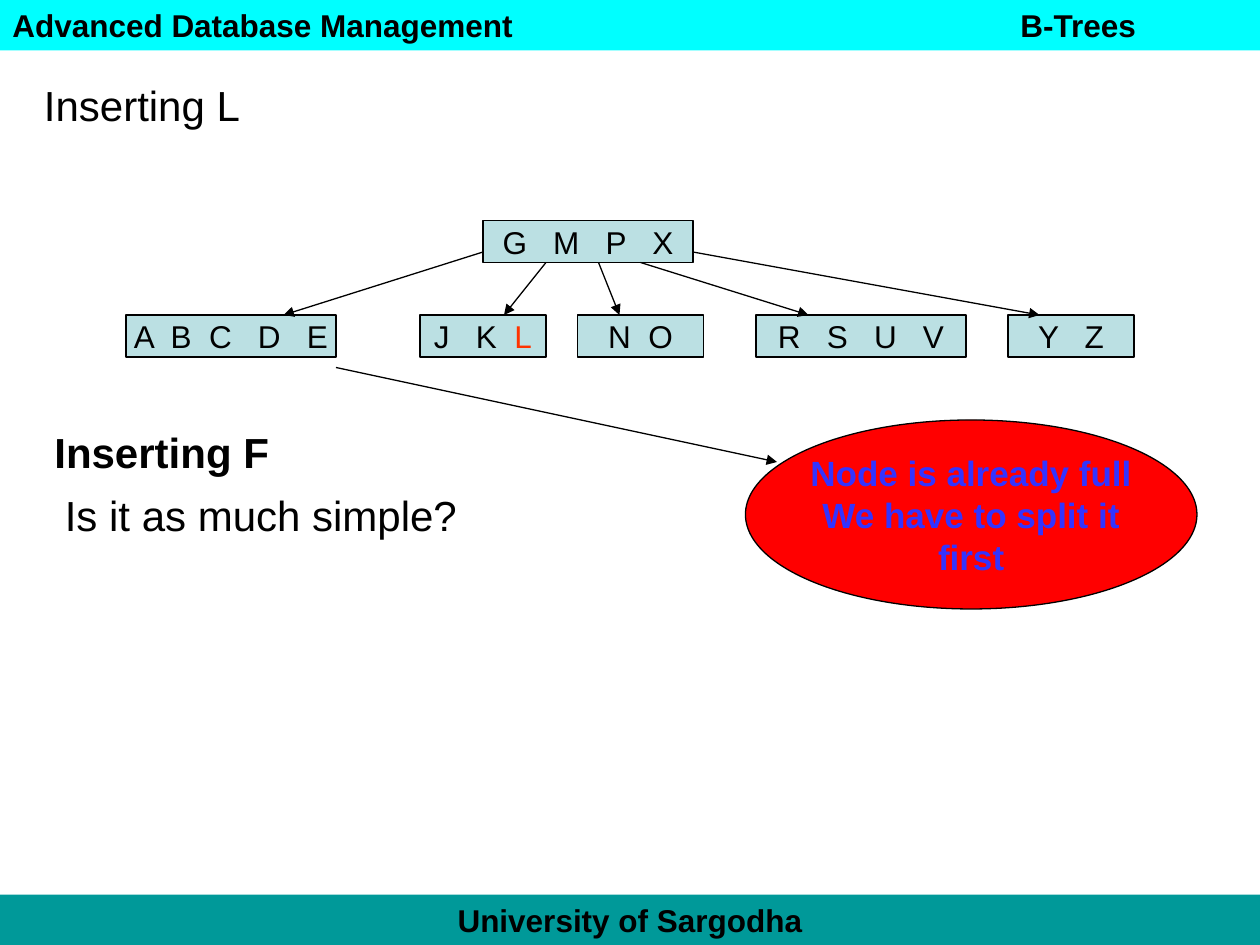
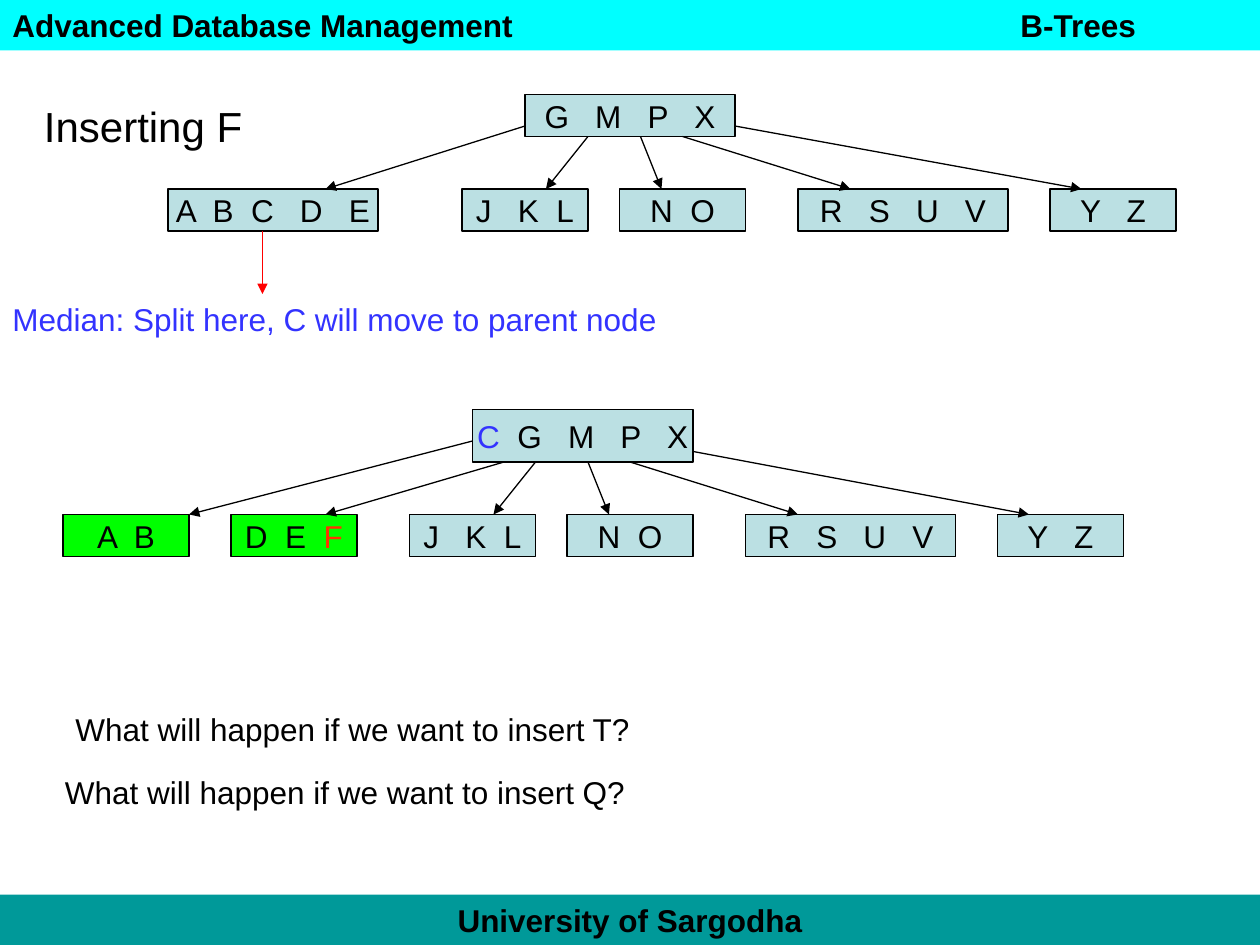
from lxml import etree
from pptx import Presentation
from pptx import util as u
from pptx.dml.color import RGBColor
from pptx.enum import shapes, text
from pptx.oxml import ns

COLUMNS, ROWS = 120, 90
WIDTH, HEIGHT = u.Inches(10), u.Inches(7.5)
COLORS = {
    "ink": "000000",
    "header": "00FFFF",
    "footer": "009999",
    "node": "BBE0E3",
    "split": "00FF00",
    "alert": "FF0000",
    "new_key": "FF3300",
    "note": "3333FF",
}
FONT = {"name": "Arial", "size": u.Pt(18), "bold": False}
FRAME = {
    "margin_left": u.Inches(0.1),
    "margin_right": u.Inches(0.1),
    "margin_top": u.Inches(0.05),
    "margin_bottom": u.Inches(0.05),
    "word_wrap": False,
    "auto_size": text.MSO_AUTO_SIZE.NONE,
    "vertical_anchor": text.MSO_ANCHOR.MIDDLE,
}
GROWING = {
    "word_wrap": True,
    "auto_size": text.MSO_AUTO_SIZE.SHAPE_TO_FIT_TEXT,
    "vertical_anchor": text.MSO_ANCHOR.TOP,
}
CENTERED = {"alignment": text.PP_ALIGN.CENTER}
LEFT = {"alignment": text.PP_ALIGN.LEFT}
BAND_SPACING = {"space_before": u.Pt(4.5)}
TITLE = {"size": u.Pt(24)}
BOLD = {"bold": True}

BAND_ROWS = 4.8
NODE_ROWS = 4
LEVEL_GAP = 5
ROOT_COLUMN = 34
NARROW, WIDE = 12, 20
KEPT_LEAVES = [
    (43, NARROW, "N  O", "node"),
    (60, WIDE, "R   S   U   V", "node"),
    (84, NARROW, "Y   Z", "node"),
]
KEPT_LINKS = [(40, 36), (45, 47), (49, 65)]
LAST_LEAF_LINK = 87


def color(name):
    return RGBColor.from_string(COLORS[name])


def apply(target, *formats):
    for values in formats:
        for key, value in values.items():
            setattr(target, key, value)


def grid(column, row):
    return round(WIDTH * column / COLUMNS), round(HEIGHT * row / ROWS)


def write(frame, lines, ink="ink", frame_format={}, line_format=LEFT, font={}):
    apply(frame, FRAME, frame_format)
    for index, line in enumerate(lines):
        paragraph = frame.add_paragraph() if index else frame.paragraphs[0]
        apply(paragraph, line_format)
        for words, run_ink in [(line, ink)] if isinstance(line, str) else line:
            run = paragraph.add_run()
            run.text = words
            apply(run.font, FONT, font)
            run.font.color.rgb = color(run_ink)


def block(slide, box, fill, outlined=True, preset=shapes.MSO_SHAPE.RECTANGLE):
    left, top, width, height = box
    part = slide.shapes.add_shape(preset, *grid(left, top), *grid(width, height))
    part.shadow.inherit = False
    part.fill.solid()
    part.fill.fore_color.rgb = color(fill)
    if outlined:
        part.line.color.rgb = color("ink")
        part.line.width = u.Pt(0.75)
    else:
        part.line.fill.background()
    return part


def arrow(slide, start, end, ink="ink"):
    link = slide.shapes.add_connector(shapes.MSO_CONNECTOR.STRAIGHT, *grid(*start), *grid(*end))
    link.line.color.rgb = color(ink)
    link.line.width = u.Pt(0.75)
    etree.SubElement(link.line._get_or_add_ln(), ns.qn("a:tailEnd"), type="triangle")
    etree.SubElement(link._element.spPr, ns.qn("a:effectLst"))


def caption(slide, box, words, ink="ink", font={}):
    left, top, width, height = box
    label = slide.shapes.add_textbox(*grid(left, top), *grid(width, height))
    write(label.text_frame, [words], ink, GROWING, font=font)


def band(slide, top, fill, words, line_format):
    strip = block(slide, (0, top, COLUMNS, BAND_ROWS), fill, outlined=False)
    write(strip.text_frame, [words], "ink", GROWING, {**line_format, **BAND_SPACING}, BOLD)
    return strip


def header(slide):
    strip = band(slide, 0, "header", "Advanced Database Management\t\t\t\t\tB-Trees", LEFT)
    properties = strip.text_frame.paragraphs[0]._p.get_or_add_pPr()
    stops = etree.SubElement(properties, ns.qn("a:tabLst"))
    for inch in range(1, 9):
        etree.SubElement(stops, ns.qn("a:tab"), pos=str(u.Inches(inch)), algn="l")


def footer(slide):
    band(slide, ROWS - BAND_ROWS, "footer", "University of Sargodha", CENTERED)


def node(slide, box, keys, fill="node"):
    write(block(slide, box, fill).text_frame, [keys], line_format=CENTERED)


def tree(slide, corner, root, root_size, first_leaves, jkl, first_link, extra_links=()):
    left, top = corner
    root_width, root_height = root_size
    root_left, root_bottom = left + ROOT_COLUMN, top + root_height
    leaf_top = root_bottom + LEVEL_GAP
    node(slide, (root_left, top, root_width, root_height), root)
    for column, width, keys, fill in [*first_leaves, (28, NARROW, jkl, "node"), *KEPT_LEAVES]:
        node(slide, (left + column, leaf_top, width, NODE_ROWS), keys, fill)
    arrow(slide, (root_left, top + 3), (left + first_link, leaf_top))
    for start, end in [*extra_links, *KEPT_LINKS]:
        arrow(slide, (left + start, root_bottom), (left + end, leaf_top))
    arrow(slide, (root_left + root_width, root_bottom - 1), (left + LAST_LEAF_LINK, leaf_top))


def full_tree(slide, corner, jkl):
    full_leaf = (0, WIDE, "A  B  C   D   E", "node")
    tree(slide, corner, "G   M   P   X", (WIDE, NODE_ROWS), [full_leaf], jkl, 15)


def split_tree(slide, corner):
    halves = [
        (-5, NARROW, "A  B", "split"),
        (11, NARROW, [("D  E  ", "ink"), ("F", "new_key")], "split"),
    ]
    root = [("C", "note"), ("  G   M   P   X", "ink")]
    tree(slide, corner, root, (21, 5), halves, "J   K  L", 7, [(37, 20)])


def full_node_warning(slide, box, origin):
    left, top = box[:2]
    oval = block(slide, box, "alert", preset=shapes.MSO_SHAPE.OVAL)
    lines = ["Node is already full", "We have to split it", "first"]
    write(oval.text_frame, lines, "note", line_format=CENTERED, font={**BOLD, "size": u.Pt(20)})
    arrow(slide, origin, (left + 3, top + 4))


def lecture_slide(deck):
    slide = deck.slides.add_slide(deck.slide_layouts[6])
    footer(slide)
    header(slide)
    return slide


def inserting_l(deck):
    slide = lecture_slide(deck)
    full_tree(slide, (12, 21), [("J   K ", "ink"), (" L", "new_key")])
    caption(slide, (3, 7, 22, 6), "Inserting L", font=TITLE)
    caption(slide, (4, 40, 24, 6), "Inserting F", font={**TITLE, **BOLD})
    caption(slide, (5, 46, 41, 6), "Is it as much simple?", font=TITLE)
    full_node_warning(slide, (71, 40, 43, 18), (32, 35))


def inserting_f(deck):
    slide = lecture_slide(deck)
    full_tree(slide, (16, 9), "J   K  L")
    caption(slide, (3, 9, 22, 6), "Inserting F", font=TITLE)
    arrow(slide, (25, 22), (25, 28), "alert")
    caption(slide, (0, 28, 66, 4.8), "Median: Split here, C will move to parent node", "note")
    split_tree(slide, (11, 39))
    for left, top, key in [(6, 67, "T"), (5, 73, "Q")]:
        caption(slide, (left, top, 57, 4.8), f"What will happen if we want to insert {key}?")


def main():
    deck = Presentation()
    apply(deck, {"slide_width": WIDTH, "slide_height": HEIGHT})
    inserting_l(deck)
    inserting_f(deck)
    deck.save("out.pptx")


if __name__ == "__main__":
    main()
